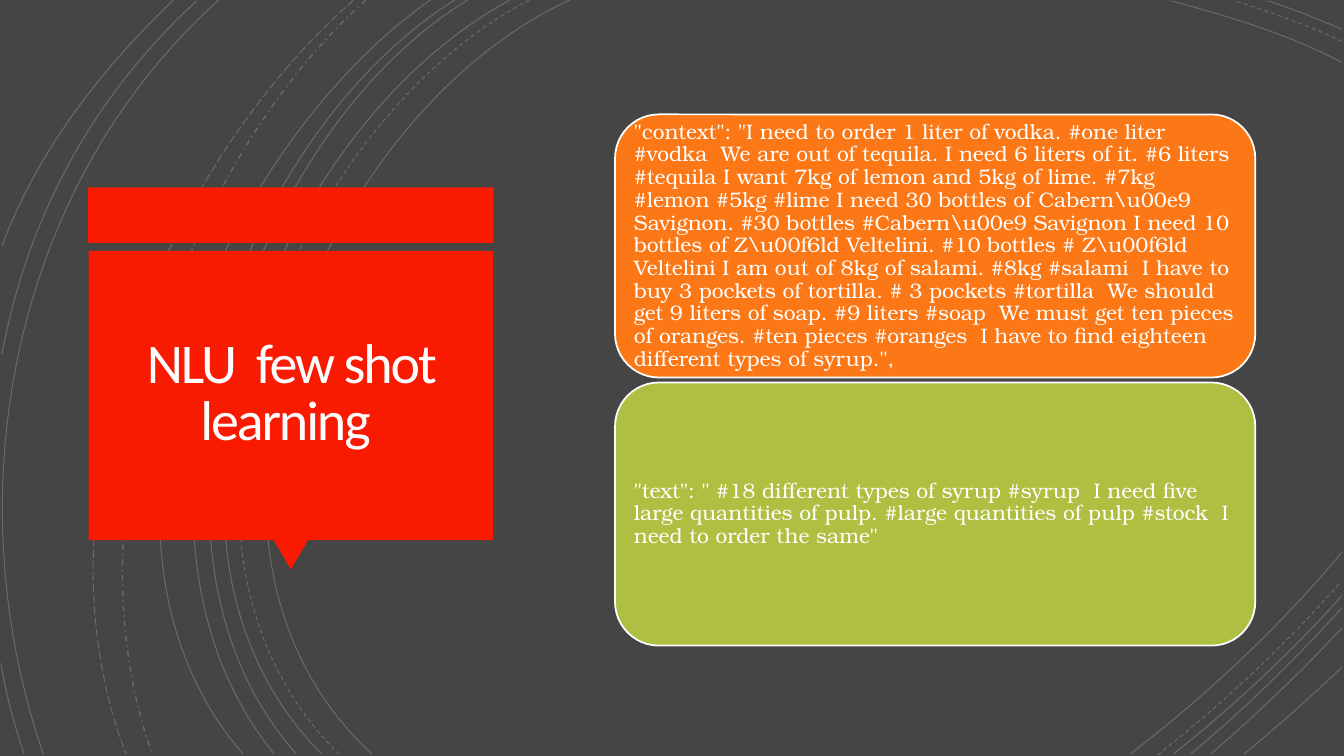
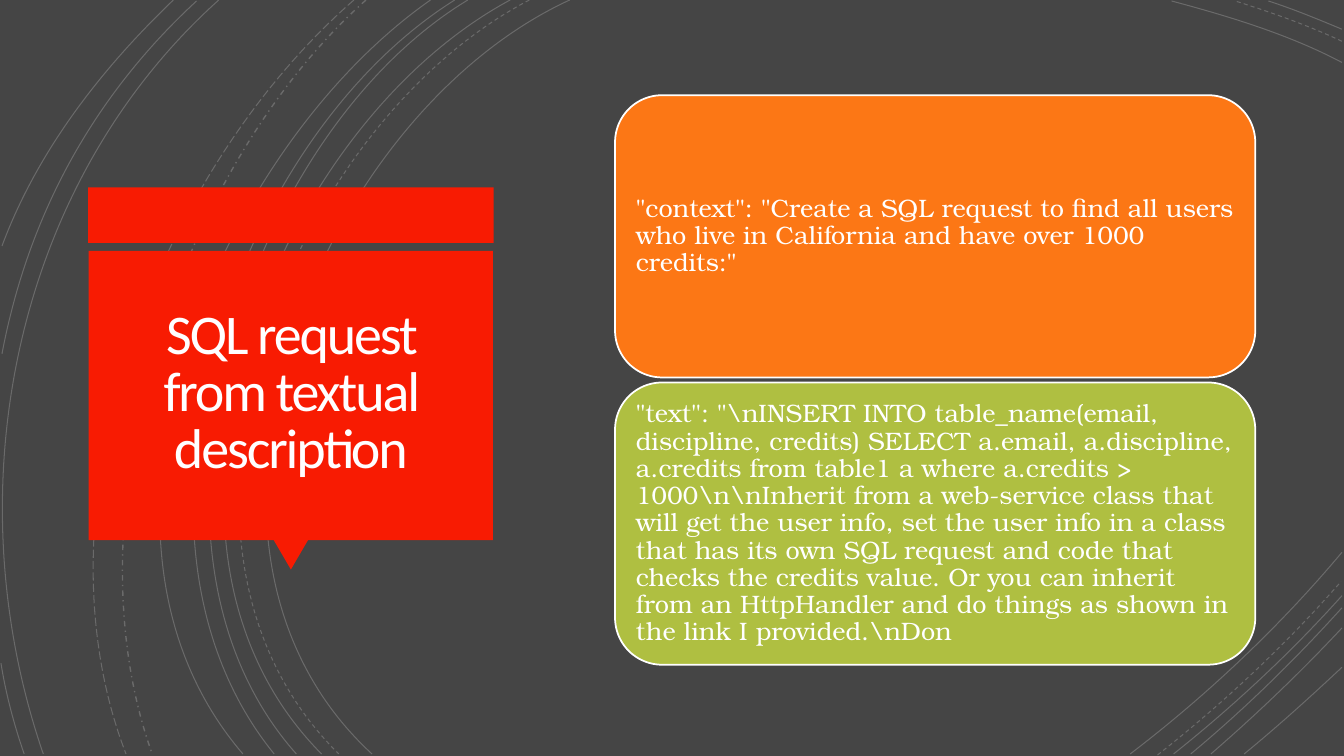
from lxml import etree
from pptx import Presentation
from pptx import util as u
from pptx.dml.color import RGBColor
from pptx.enum import dml, shapes, text
from pptx.oxml.ns import qn

# Content: title, card height, inset, text size, card texts
SLIDES = [
    ("NLU  few shot learning ", 2.61, 0.06, 15, [
        r'"context": "I need to order 1 liter of vodka. #one liter #vodka  We are out of tequila. '
        r'I need 6 liters of it. #6 liters #tequila I want 7kg of lemon and 5kg of lime. '
        r'#7kg #lemon #5kg #lime I need 30 bottles of Cabern\u00e9 Savignon. '
        r'#30 bottles #Cabern\u00e9 Savignon I need 10 bottles of Z\u00f6ld Veltelini. '
        r'#10 bottles # Z\u00f6ld Veltelini I am out of 8kg of salami. #8kg #salami  '
        r'I have to buy 3 pockets of tortilla. # 3 pockets #tortilla  '
        r'We should get 9 liters of soap. #9 liters #soap  We must get ten pieces of oranges. '
        r'#ten pieces #oranges  I have to find eighteen different types of syrup.", ',
        r'"text": " #18 different types of syrup #syrup  I need five large quantities of pulp. '
        r'#large quantities of pulp #stock  I need to order the same"',
    ]),
    ("SQL request from textual description", 2.8, 0.07, 18, [
        r'"context": "Create a SQL request to find all users who live in California '
        r'and have over 1000 credits:"',
        r'"text": "\nINSERT INTO table_name(email, discipline, credits) SELECT a.email, '
        r'a.discipline, a.credits from table1 a where a.credits > 1000\n\nInherit from a '
        r'web-service class that will get the user info, set the user info in a class that has '
        r'its own SQL request and code that checks the credits value. Or you can inherit from an '
        r'HttpHandler and do things as shown in the link I provided.\nDon',
    ]),
]

# Shared look
BACK, RED, WHITE, PALE = "454545", "F81B02", "FFFFFF", "FFFEFF"
FILLS = ["FC7715", "AFBF41"]
HEAD, BODY = "Calibri", "TeX Gyre Bonum"
MID, GAP = 3.77, 0.05

# Background arcs: start, two control points, end
ARCS = {
    "SOLID": [
        (5.65, 0, 3.15, 1.15, 1.43, 5.4, 3.69, 7.48),
        (13.31, 0.62, 12.78, 0.34, 12.18, 0.16, 11.62, 0.01),
        (11.21, 7.48, 11.97, 6.9, 12.69, 6.22, 13.31, 5.48),
        (5.06, 0, 2.7, 1.27, 1.1, 5.37, 3.19, 7.48),
        (13.31, 0.29, 13.07, 0.19, 12.83, 0.09, 12.58, 0.01),
        (11.64, 7.48, 12.23, 7.01, 12.8, 6.48, 13.31, 5.91),
        (4.64, 0, 2.44, 1.33, 1.1, 5.41, 2.94, 7.48),
        (11.81, 7.48, 12.34, 7.04, 12.84, 6.55, 13.31, 6.03),
        (4.51, 0, 2.31, 1.38, 0.97, 5.33, 2.72, 7.48),
        (12.01, 7.48, 12.46, 7.09, 12.9, 6.67, 13.31, 6.23),
        (4.27, 0, 2.17, 1.47, 0.53, 5.29, 2.41, 7.48),
        (12.34, 7.48, 12.67, 7.21, 12.99, 6.92, 13.31, 6.62),
        (2.17, 0, 0.11, 1.85, -0.46, 4.9, 0.43, 7.48),
        (1.95, 0.01, 0.92, 0.96, 0.28, 2.14, 0.02, 3.51),
        (0.01, 6.58, 0.06, 6.89, 0.14, 7.19, 0.24, 7.48),
        (1.72, 0, 1, 0.69, 0.37, 1.5, 0.02, 2.44),
    ],
    "DASH": [
        (5.25, 0, 2.85, 1.25, 1.23, 5.37, 3.36, 7.48),
        (13.31, 0.41, 12.97, 0.25, 12.6, 0.12, 12.25, 0.01),
        (11.48, 7.49, 12.13, 6.98, 12.75, 6.4, 13.3, 5.77),
    ],
    "DASH_DOT": [(3.63, 0, 1.76, 1.66, 0.65, 5.09, 1.51, 7.48)],
    "LONG_DASH": [(3.51, 0, 1.57, 1.69, 0.29, 4.99, 1.25, 7.48)],
}


def color(hue):
    return RGBColor.from_string(hue)


def paint(part, hue):
    part.fill.solid()
    part.fill.fore_color.rgb = color(hue)


def bend(shape):
    """Turn the three straight segments into one cubic curve."""
    track = shape._element.find(".//" + qn("a:path"))
    curve = etree.SubElement(track, qn("a:cubicBezTo"))
    for step in track.findall(qn("a:lnTo")):
        curve.append(step[0])
        track.remove(step)


def draw_arc(slide, arc, dash):
    spots = list(map(u.Inches, arc))
    start, *rest = zip(spots[::2], spots[1::2])
    pen = slide.shapes.build_freeform(*start)
    pen.add_line_segments(rest, close=False)
    shape = pen.convert_to_shape()
    bend(shape)
    shape.shadow.inherit = False
    shape.fill.background()
    line = shape.line
    paint(line, WHITE)
    line.width = u.Pt(1 if dash == "DASH_DOT" else 0.75)
    line.dash_style = getattr(dml.MSO_LINE, dash)
    tint = line.fill._xPr.find(".//" + qn("a:srgbClr"))
    etree.SubElement(tint, qn("a:alpha"), val="20000")


def add_box(slide, kind, place, hue, edge=None):
    shape = slide.shapes.add_shape(getattr(shapes.MSO_SHAPE, kind), *map(u.Inches, place))
    shape.shadow.inherit = False
    paint(shape, hue)
    if edge:
        paint(shape.line, edge)
        shape.line.width = u.Pt(1.25)
    else:
        shape.line.fill.background()
    return shape


def write(shape, words, inset, align, space, size, name, hue):
    frame = shape.text_frame
    frame.word_wrap = True
    frame.vertical_anchor = text.MSO_ANCHOR.MIDDLE
    for side in ("left", "top", "right", "bottom"):
        setattr(frame, "margin_" + side, u.Inches(inset))
    para = frame.paragraphs[0]
    para.alignment, para.line_spacing = align, space
    run = para.add_run()
    run.text = words
    for key, val in {"size": u.Pt(size), "name": name}.items():
        setattr(run.font, key, val)
    run.font.color.rgb = color(hue)
    return run


def add_base(slide, title):
    # Arcs
    for dash, group in ARCS.items():
        for arc in group:
            draw_arc(slide, arc, dash)
    # Red title sign
    add_box(slide, "RECTANGLE", (0.875, 1.86, 4.02, 0.55), RED)
    add_box(slide, "ISOSCELES_TRIANGLE", (2.71, 5.35, 0.35, 0.3), RED).rotation = 180
    add_box(slide, "RECTANGLE", (0.88, 2.49, 4.01, 2.87), RED)
    box = slide.shapes.add_textbox(*map(u.Inches, (0.97, 2.57, 3.83, 2.69)))
    run = write(box, title, 0.25, text.PP_ALIGN.CENTER, 0.85, 40, HEAD, PALE)
    run.font._element.set("spc", "-150")


def add_cards(slide, high, inset, size, cards):
    top = MID - high - GAP / 2
    for i, (words, hue) in enumerate(zip(cards, FILLS)):
        place = (6.1, top + i * (high + GAP), 6.35, high)
        card = add_box(slide, "ROUNDED_RECTANGLE", place, hue, WHITE)
        write(card, words, inset, text.PP_ALIGN.LEFT, 0.9, size, BODY, WHITE)


def main():
    prs = Presentation()
    prs.slide_width, prs.slide_height = u.Inches(13.33), u.Inches(7.5)
    paint(prs.slide_master.background, BACK)
    for title, *cards in SLIDES:
        slide = prs.slides.add_slide(prs.slide_layouts[6])
        add_base(slide, title)
        add_cards(slide, *cards)
    prs.save("out.pptx")


if __name__ == "__main__":
    main()
